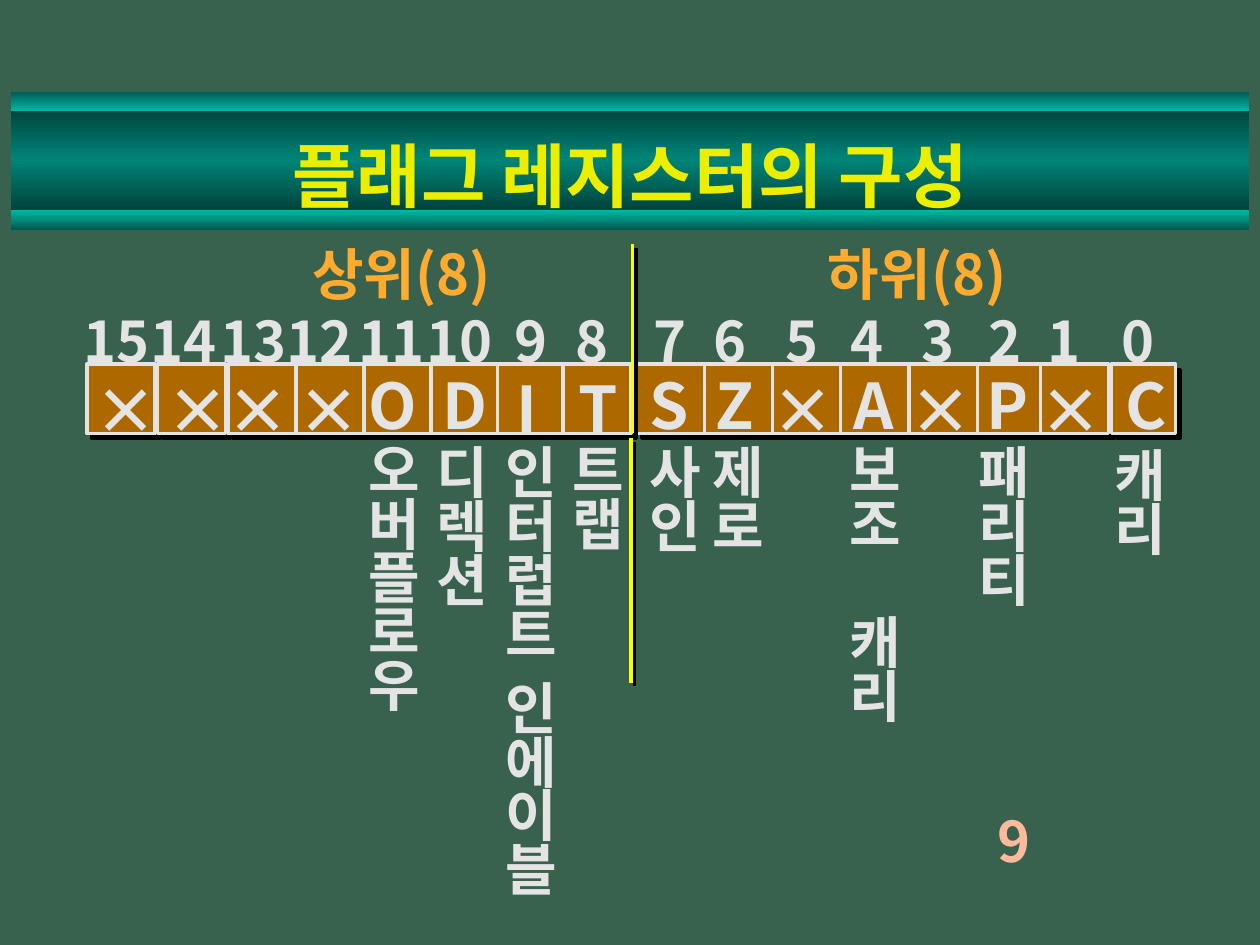
from collections import namedtuple
from dataclasses import dataclass

from lxml import etree
from pptx import Presentation
from pptx.dml.color import RGBColor
from pptx.enum.shapes import MSO_CONNECTOR, MSO_SHAPE
from pptx.enum.text import MSO_ANCHOR, PP_ALIGN
from pptx.oxml import parse_xml
from pptx.oxml.ns import qn
from pptx.util import Inches, Pt

CENTER = PP_ALIGN.CENTER
TOP, MIDDLE = MSO_ANCHOR.TOP, MSO_ANCHOR.MIDDLE
RECT, STRAIGHT = MSO_SHAPE.RECTANGLE, MSO_CONNECTOR.STRAIGHT
SLIDE_W, SLIDE_H = Inches(10), Inches(7.5)
COLUMNS = 100
UNIT = SLIDE_W / COLUMNS
A_NS = "http://schemas.openxmlformats.org/drawingml/2006/main"


@dataclass(frozen=True)
class Theme:
    """Font, type sizes and colours of the slide."""

    font: str = "Noto Sans CJK KR"
    title_size: int = 40
    flag_size: int = 36
    label_size: int = 32
    background: str = "38614E"
    title: str = "ECEE00"
    half: str = "FFAB2F"
    text: str = "E4E4E4"
    cell: str = "AD6900"
    border: str = "E3E3E3"
    divider: str = "FAFD00"
    shadow: str = "000000"
    page: str = "FFB99C"
    panel: tuple = ("00423B", "008477", "00423B")
    rim: tuple = ("005B52", "00B7A5")


THEME = Theme()

Bit = namedtuple("Bit", "left number_x flag flag_x")
BITS = [
    Bit(6.9, 9.25, "×", 10), Bit(12.5, 14.55, "×", 15.75),
    Bit(18.1, 20.15, "×", 20.5), Bit(23.5, 25.35, "×", 26.15),
    Bit(28.9, 31.05, "O", 31.15), Bit(34.2, 36.45, "D", 36.9),
    Bit(39.5, 42.15, "I", 41.85), Bit(44.7, 47, "T", 47.5),
    Bit(50.5, 53.2, "S", 53.1), Bit(55.9, 57.95, "Z", 58.3),
    Bit(61.3, 63.65, "×", 63.7), Bit(66.7, 68.85, "A", 69.35),
    Bit(72.2, 74.45, "×", 74.65), Bit(77.6, 79.75, "P", 79.95),
    Bit(82.6, 84.45, "×", 85), Bit(88.2, 90.35, "C", 91),
]
CELL_TOP, CELL_W, CELL_H, REGISTER_RIGHT = 28.9, 5.4, 5.5, 93.3
FLAG_TOPS = {"×": 29, "I": 28.8, "T": 28.8}

FlagName = namedtuple("FlagName", "x top words gap")
NAMES = [
    FlagName(31.3, 35.1, ["오버플로우"], 0),
    FlagName(36.7, 35.3, ["디렉션"], 0),
    FlagName(42.2, 35.3, ["인터럽트", "인에이블"], 11.6),
    FlagName(47.5, 35.1, ["트랩"], 0),
    FlagName(53.6, 35.3, ["사인"], 0),
    FlagName(58.6, 35.3, ["제로"], 0),
    FlagName(69.5, 35.1, ["보조", "캐리"], 37),
    FlagName(79.7, 35.3, ["패리티"], 0),
    FlagName(90.5, 35.5, ["캐리"], 0),
]


def grid(*lengths):
    """Turn grid columns and rows into slide lengths."""
    return [round(n * UNIT) for n in lengths]


def effects(distance):
    """Build a hard shadow that falls to the lower right."""
    return parse_xml(
        f'<a:effectLst xmlns:a="{A_NS}"><a:outerShdw blurRad="0" dist="{Pt(distance)}" '
        f'dir="2700000" algn="ctr" rotWithShape="0"><a:srgbClr val="{THEME.shadow}"/>'
        "</a:outerShdw></a:effectLst>")


def add_run(p, text, size, color):
    """Add one bold run in the theme font."""
    r = p.add_run()
    r.text = text
    r.font.size, r.font.bold, r.font.name = Pt(size), True, THEME.font
    r.font.color.rgb = RGBColor.from_string(color)
    ea = etree.Element(qn("a:ea"), typeface=THEME.font)
    r.font._element.find(qn("a:latin")).addnext(ea)
    return r


def add_label(s, text, x, top, width, height, size, color):
    """Add a one-line text box centred on a grid column."""
    box = s.shapes.add_textbox(*grid(x - width / 2, top, width, height))
    tf = box.text_frame
    tf.word_wrap, tf.vertical_anchor = True, TOP
    tf.paragraphs[0].alignment = CENTER
    add_run(tf.paragraphs[0], text, size, color)


def add_flag_name(s, name):
    """Add a flag name with one syllable to a line."""
    count = sum(map(len, name.words))
    box = s.shapes.add_textbox(*grid(name.x - 4.2, name.top, 8.4, 1 + 4.3 * count))
    tf = box.text_frame
    tf.word_wrap = True
    p = tf.paragraphs[0]
    for w, word in enumerate(name.words):
        for i, syllable in enumerate(word):
            if w or i:
                p = tf.add_paragraph()
            p.alignment, p.line_spacing = CENTER, 0.8
            p.space_before = Pt(name.gap if w and not i else 0)
            add_run(p, syllable, THEME.label_size, THEME.text)


def add_band(s, top, height, colors):
    """Add a full-width band with a vertical gradient."""
    sp = s.shapes.add_shape(RECT, *grid(0.85, top, 98.3, height))
    sp.shadow.inherit = False
    sp.line.fill.background()
    step = 100000 // (len(colors) - 1)
    stops = "".join(f'<a:gs pos="{i * step}"><a:srgbClr val="{c}"/></a:gs>'
                    for i, c in enumerate(colors))
    sp.element.spPr.find(qn("a:prstGeom")).addnext(parse_xml(
        f'<a:gradFill xmlns:a="{A_NS}" rotWithShape="1"><a:gsLst>{stops}</a:gsLst>'
        '<a:lin ang="5400000" scaled="0"/></a:gradFill>'))


def add_cell(s, left):
    """Add one bit cell of the register."""
    width = min(CELL_W, REGISTER_RIGHT - left)
    sp = s.shapes.add_shape(RECT, *grid(left, CELL_TOP, width, CELL_H))
    sp.fill.solid()
    sp.fill.fore_color.rgb = RGBColor.from_string(THEME.cell)
    sp.line.color.rgb = RGBColor.from_string(THEME.border)
    sp.line.width = Pt(2)
    sp.element.spPr.append(effects(4.2))


def add_divider(s, x, top, bottom):
    """Add a vertical line between the two halves."""
    line = s.shapes.add_connector(STRAIGHT, *grid(x, top, x, bottom))
    line.line.color.rgb = RGBColor.from_string(THEME.divider)
    line.line.width = Pt(2)
    line._element.spPr.append(effects(2.8))


def set_title(s, text):
    """Place the title over the bands and give it a shadow."""
    title = s.shapes.title
    title.left, title.top, title.width, title.height = grid(7.5, 9.8, 85, 8.1)
    s.shapes._spTree.append(title.element)
    tf = title.text_frame
    tf.word_wrap, tf.vertical_anchor = True, MIDDLE
    p = tf.paragraphs[0]
    p.alignment = CENTER
    r = add_run(p, text, THEME.title_size, THEME.title)
    r.font._element.find(qn("a:solidFill")).addnext(effects(2.8))


def main():
    """Build the flag register slide."""
    prs = Presentation()
    prs.slide_width, prs.slide_height = SLIDE_W, SLIDE_H
    s = prs.slides.add_slide(prs.slide_layouts[5])
    s.background.fill.solid()
    s.background.fill.fore_color.rgb = RGBColor.from_string(THEME.background)

    add_band(s, 8.5, 8.3, THEME.panel)
    add_band(s, 16.7, 1.5, THEME.rim[::-1])
    add_band(s, 7.3, 1.5, THEME.rim)
    set_title(s, "플래그 레지스터의 구성")

    for text, x in (("상위(8)", 31.85), ("하위(8)", 72.8)):
        add_label(s, text, x, 18.5, 18.9, 6.3, THEME.label_size, THEME.half)
    for bit in BITS:
        add_cell(s, bit.left)
    for i, bit in enumerate(BITS):
        number = str(len(BITS) - 1 - i)
        add_label(s, bit.flag, bit.flag_x, FLAG_TOPS.get(bit.flag, 28.6), 8.6, 7,
                  THEME.flag_size, THEME.text)
        add_label(s, number, bit.number_x, 23.8, 9.3, 6.3, THEME.label_size, THEME.text)
    for name in NAMES:
        add_flag_name(s, name)
    add_divider(s, 50.2, 19.4, 34.4)
    add_divider(s, 50.1, 34.8, 54.2)
    add_label(s, "9", 80.5, 63.5, 4.6, 6.4, THEME.label_size, THEME.page)
    prs.save("out.pptx")


if __name__ == "__main__":
    main()
